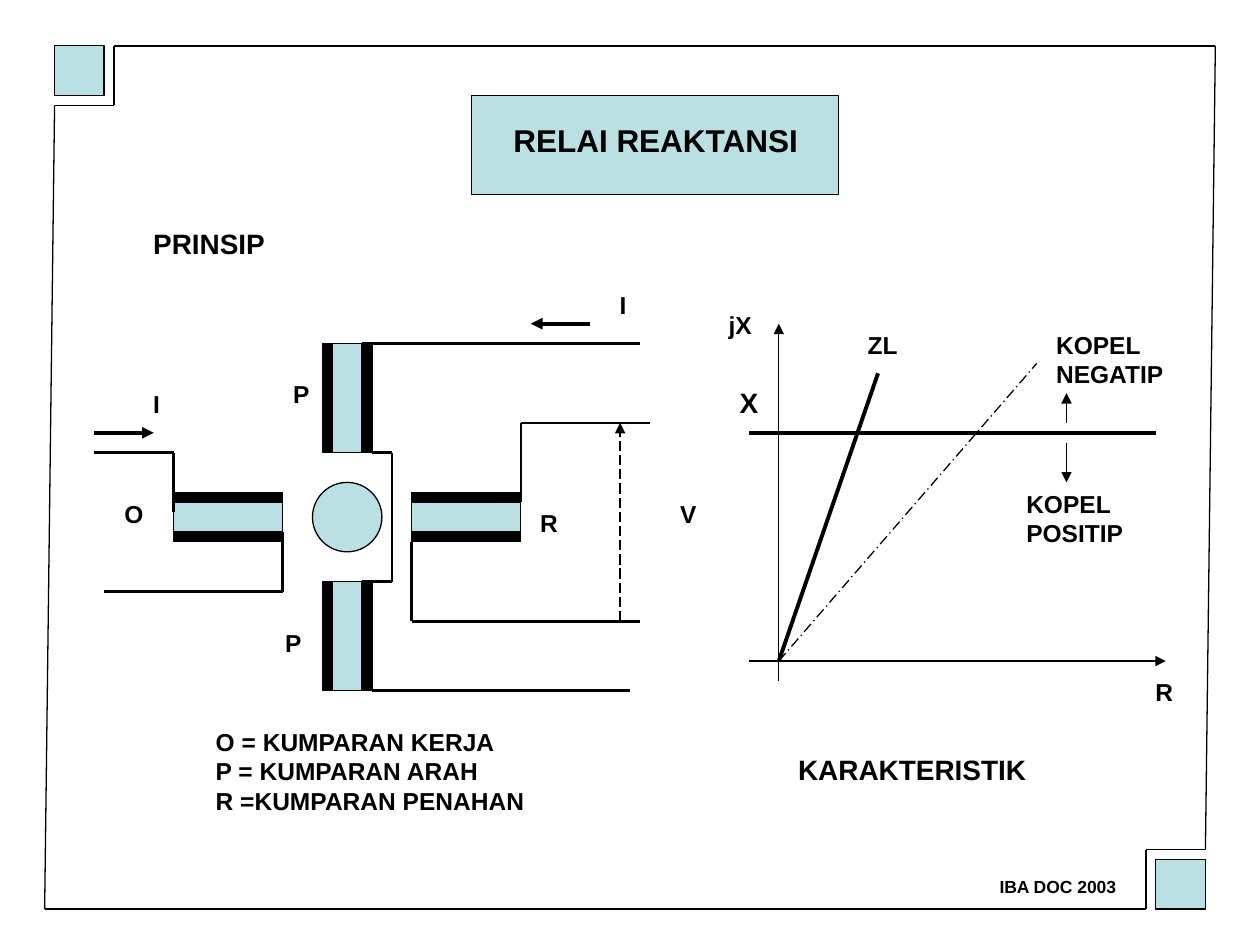
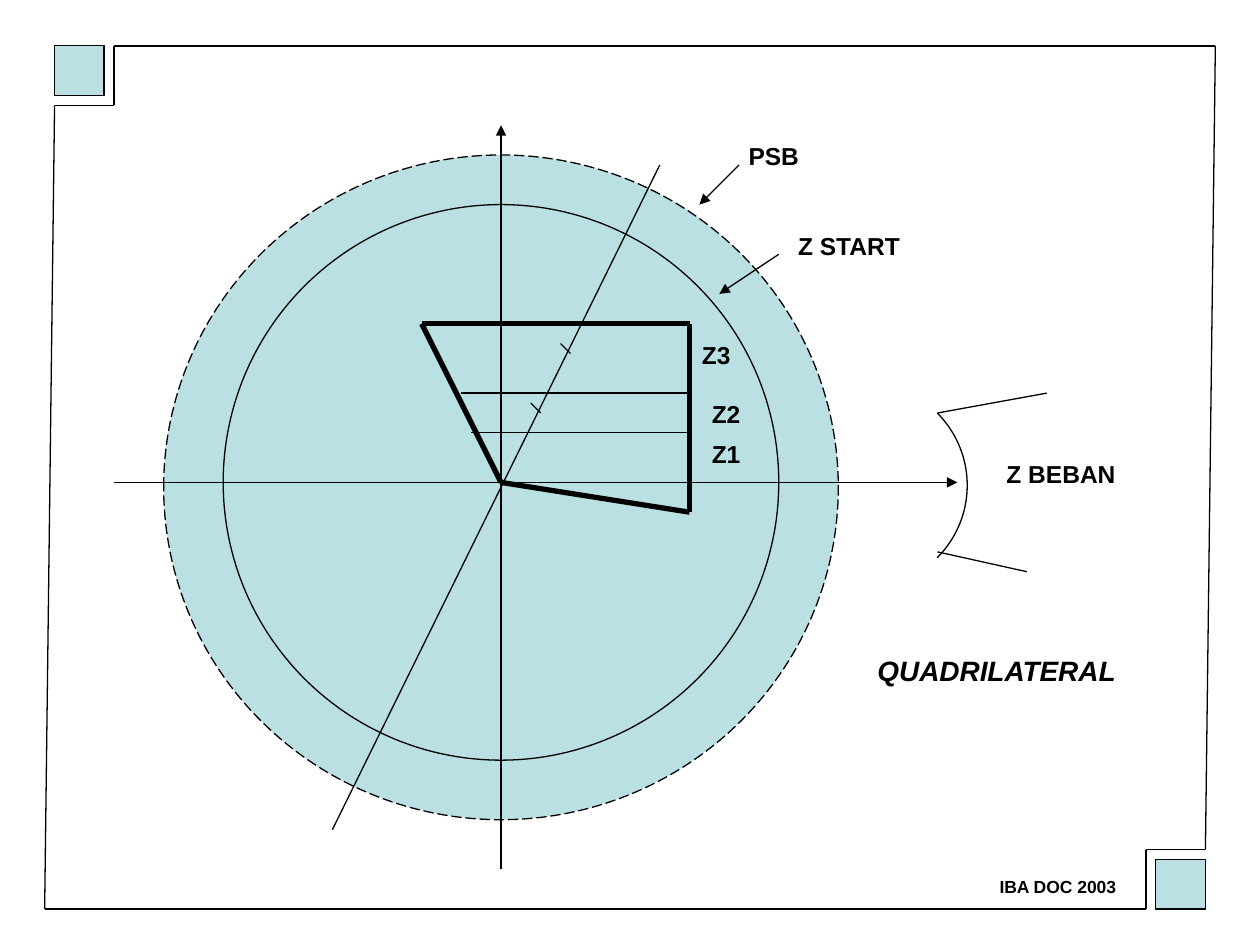
"""Builds two slides on distance relays: reactance principle and quadrilateral zones."""
from itertools import pairwise

from lxml import etree
from pptx import Presentation
from pptx import util as u
from pptx.dml.color import RGBColor
from pptx.enum import dml, shapes, text
from pptx.oxml import ns

RECT = shapes.MSO_SHAPE.RECTANGLE
OVAL = shapes.MSO_SHAPE.OVAL
ARC = shapes.MSO_SHAPE.ARC
LONG_DASH = dml.MSO_LINE.LONG_DASH
DASH_DOT = dml.MSO_LINE.LONG_DASH_DOT


def paint(value):
    return RGBColor.from_string(value)


class Sketch:
    """Draws on the current page, on a grid of 2 mm columns and rows."""

    ink = "000000"
    tint = "BBE0E3"
    font = "Arial"
    cell = 2
    left = 1
    top = 1.25
    thin = 0.75
    wire = 1.5
    bold = 2.25
    heavy = 3

    def __init__(self, deck):
        self.deck = deck
        self.page = None

    def size(self, cells):
        return u.Mm(cells * self.cell)

    def spot(self, column, row):
        return self.size(column) + u.Mm(self.left), self.size(row) + u.Mm(self.top)

    def new_page(self):
        self.page = self.deck.slides.add_slide(self.deck.slide_layouts[6])
        self.line((11, 4), (122, 4), (121, 85), (115, 85), (115, 91), (4, 91),
                  (5, 10), (11, 10), (11, 4))
        for corner in ((5, 4), (116, 86)):
            self.shape(RECT, *corner, 5, 5)
        self.label("IBA DOC 2003", 99, 87, 14.6, points=10)

    def line(self, *stops, width=thin, dash=None, arrow=False):
        for start, end in pairwise(stops):
            link = self.page.shapes.add_connector(
                shapes.MSO_CONNECTOR.STRAIGHT, *self.spot(*start), *self.spot(*end))
            link.line.color.rgb = paint(self.ink)
            link.line.width = u.Pt(width)
            if dash:
                link.line.dash_style = dash
            if arrow:
                etree.SubElement(link.get_or_add_ln(), ns.qn("a:tailEnd"), type="triangle")
            etree.SubElement(link._element.spPr, ns.qn("a:effectLst"))

    def shape(self, kind, column, row, columns, rows, fill=tint, dash=None):
        box = self.page.shapes.add_shape(
            kind, *self.spot(column, row), self.size(columns), self.size(rows))
        box.shadow.inherit = False
        if fill:
            box.fill.solid()
            box.fill.fore_color.rgb = paint(fill)
        else:
            box.fill.background()
        box.line.color.rgb = paint(self.ink)
        box.line.width = u.Pt(self.thin)
        if dash:
            box.line.dash_style = dash
        return box

    def label(self, words, column, row, columns, points=14, italic=False):
        lines = words.split("\n")
        height = u.Pt(points * 1.2 * len(lines) + 7.2)
        box = self.page.shapes.add_textbox(
            *self.spot(column, row), self.size(columns), height)
        frame = box.text_frame
        frame.word_wrap = False
        frame.auto_size = text.MSO_AUTO_SIZE.SHAPE_TO_FIT_TEXT
        frame.text = words
        for para in frame.paragraphs:
            para.font.name = self.font
            para.font.size = u.Pt(points)
            para.font.bold = True
            para.font.italic = italic
            para.font.color.rgb = paint(self.ink)

    def coil(self, column, row, upright=False):
        for offset, depth, fill in ((1, 3, self.tint), (0, 1, self.ink), (4, 1, self.ink)):
            if upright:
                self.shape(RECT, column + offset, row, depth, 11, fill)
            else:
                self.shape(RECT, column, row + offset, 11, depth, fill)

    def arc(self, column, row, radius, half_angle):
        curve = self.shape(ARC, column - radius, row - radius,
                           2 * radius, 2 * radius, fill=None)
        curve.adjustments[0] = (360 - half_angle) * 0.6
        curve.adjustments[1] = half_angle * 0.6


def draw_principle(sketch):
    sketch.coil(17, 49)
    sketch.coil(41, 49)
    sketch.coil(32, 34, upright=True)
    sketch.coil(32, 58, upright=True)
    sketch.shape(OVAL, 31, 48, 7, 7)

    for wire in (
        ((36, 34), (64, 34)),
        ((37, 45), (39, 45), (39, 58), (36, 58)),
        ((37, 69), (63, 69)),
        ((41, 54), (41, 62), (64, 62)),
        ((52, 50), (52, 42), (65, 42)),
        ((28, 53), (28, 59), (10, 59)),
        ((9, 45), (17, 45), (17, 51)),
    ):
        sketch.line(*wire, width=sketch.wire)
    for current in (((9, 43), (15, 43)), ((59, 32), (53, 32))):
        sketch.line(*current, width=sketch.bold, arrow=True)
    sketch.line((62, 62), (62, 42), dash=LONG_DASH, arrow=True)

    for words, column, row, columns in (
        ("I", 13.7, 38, 3.3),
        ("I", 60.7, 28, 3.3),
        ("O", 10.8, 49, 4.6),
        ("P", 27.8, 37, 4.4),
        ("P", 27, 62, 4.4),
        ("R", 52.7, 50, 4.5),
        ("V", 66.8, 49, 4.4),
        ("O = KUMPARAN KERJA\nP = KUMPARAN ARAH\nR =KUMPARAN PENAHAN", 20, 72, 34),
    ):
        sketch.label(words, column, row, columns)
    sketch.label("PRINSIP", 13.7, 21.6, 14.2, points=16)


def draw_characteristic(sketch):
    origin = (78, 66)
    for arrow in (
        ((78, 68), (78, 32)),
        ((75, 66), (117, 66)),
        ((107, 42), (107, 39)),
        ((107, 44), (107, 48)),
    ):
        sketch.line(*arrow, arrow=True)
    sketch.line((75, 43), (116, 43), width=sketch.bold)
    sketch.line(origin, (104, 36), dash=DASH_DOT)
    sketch.line(origin, (88, 37), width=sketch.bold)

    for words, column, row, columns in (
        ("ZL", 85.7, 32, 5.8),
        ("R", 114.7, 67, 4.5),
        ("jX", 71.7, 30, 5.2),
        ("KOPEL\nNEGATIP", 104.7, 32, 13.8),
        ("KOPEL\nPOSITIP", 101.7, 48, 12.6),
    ):
        sketch.label(words, column, row, columns)
    sketch.label("X", 72.8, 37.6, 4.6, points=16)
    sketch.label("KARAKTERISTIK", 78.7, 74.6, 25.8, points=16)


def reactance_page(sketch):
    sketch.new_page()
    sketch.shape(RECT, 47, 9, 37, 10)
    sketch.label("RELAI REAKTANSI", 50, 11, 31.8, points=18)
    draw_principle(sketch)
    draw_characteristic(sketch)


def quadrilateral_page(sketch):
    sketch.new_page()
    sketch.shape(OVAL, 16, 15, 68, 67, dash=LONG_DASH)
    sketch.shape(OVAL, 22, 20, 56, 56)
    for arrow in (
        ((11, 48), (96, 48)),
        ((50, 87), (50, 12)),
        ((78, 25), (72, 29)),
        ((74, 16), (70, 20)),
    ):
        sketch.line(*arrow, arrow=True)
    sketch.line((42, 32), (50, 48), (69, 51), (69, 32), (42, 32), width=sketch.heavy)
    for stroke in (
        ((47, 43), (69, 43)),
        ((46, 39), (69, 39)),
        ((33, 83), (66, 16)),
        ((53, 40), (54, 41)),
        ((56, 34), (57, 35)),
        ((94, 55), (103, 57)),
        ((94, 41), (105, 39)),
    ):
        sketch.line(*stroke)
    sketch.arc(86.7, 48.3, 10.3, 45)

    for words, column, row, columns in (
        ("Z3", 69, 33, 5.8),
        ("Z2", 70, 39, 5.8),
        ("Z1", 70, 43, 5.8),
        ("PSB", 73.7, 13, 7.9),
        ("Z START", 78.7, 22, 13.3),
        ("Z BEBAN", 99.7, 45, 14),
    ):
        sketch.label(words, column, row, columns)
    sketch.label("QUADRILATERAL", 86.7, 64.6, 27.1, points=16, italic=True)


def main():
    deck = Presentation()
    deck.slide_width = u.Inches(10)
    deck.slide_height = u.Inches(7.5)
    sketch = Sketch(deck)
    reactance_page(sketch)
    quadrilateral_page(sketch)
    deck.save("out.pptx")


if __name__ == "__main__":
    main()
